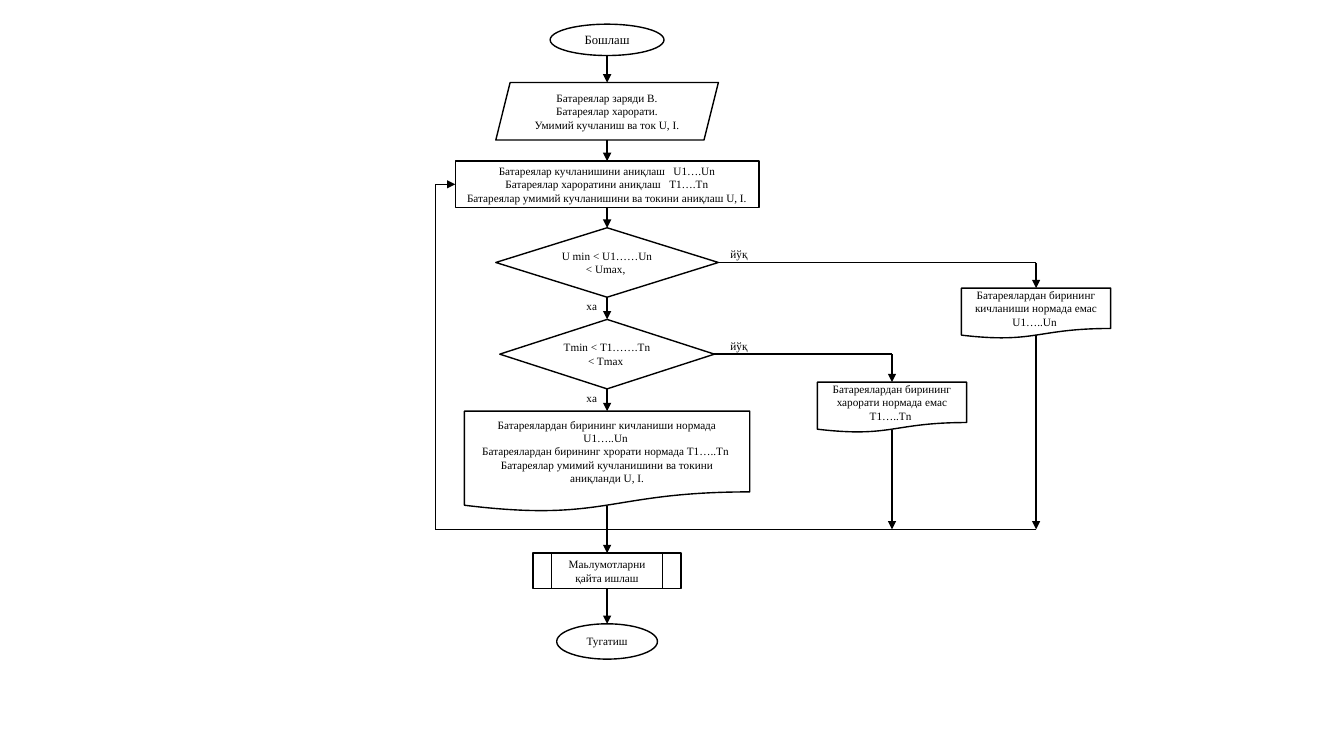
from lxml import etree
from pptx import Presentation
from pptx.dml.color import RGBColor
from pptx.enum.shapes import MSO_CONNECTOR, MSO_SHAPE as Shape
from pptx.enum.text import MSO_ANCHOR as Anchor, PP_ALIGN as Align
from pptx.oxml.ns import qn
from pptx.util import Cm, Pt

BLACK = RGBColor(0x00, 0x00, 0x00)
WHITE = RGBColor(0xFF, 0xFF, 0xFF)
FONT = "Times New Roman"
SPINE = 15.3            # centre of the main column, cm
VOLTAGE_X = 26.11       # centre of the voltage alarm column
HEAT_X = 22.48          # centre of the temperature alarm column
LOOP_X, LOOP_Y = 10.97, 13.34
WAVE = 0.94             # share of a document's height where its wave crosses the centre

deck = Presentation()
deck.slide_width, deck.slide_height = Cm(33.87), Cm(19.05)
page = deck.slides.add_slide(deck.slide_layouts[6])


def write_text(shape, lines, size=8, align=Align.CENTER, anchor=Anchor.MIDDLE, wrap=True):
    frame = shape.text_frame
    frame.word_wrap = wrap
    frame.vertical_anchor = anchor
    for index, line in enumerate(lines):
        para = frame.paragraphs[0] if index == 0 else frame.add_paragraph()
        para.alignment = align
        span = para.add_run()
        span.text = line
        span.font.name = FONT
        span.font.size = Pt(size)
        span.font.color.rgb = BLACK


def draw_line(x1, y1, x2, y2, arrow=True):
    line = page.shapes.add_connector(MSO_CONNECTOR.STRAIGHT, Cm(x1), Cm(y1), Cm(x2), Cm(y2))
    line.line.color.rgb = BLACK
    line.line.width = Pt(1)
    properties = line._element.spPr
    if arrow:
        etree.SubElement(properties.find(qn("a:ln")), qn("a:tailEnd"), type="triangle")
    etree.SubElement(properties, qn("a:effectLst"))


# Shape, centre x, top, width, height (cm), lines of text
steps = [
    (Shape.OVAL, SPINE, 0.61, 2.87, 0.79, ["Бошлаш"]),
    (Shape.PARALLELOGRAM, SPINE, 2.08, 5.61, 1.45,
     ["Батареялар заряди В.", "Батареялар харорати.", "Умимий кучланиш ва ток U, I."]),
    (Shape.RECTANGLE, SPINE, 4.06, 7.65, 1.17,
     ["Батареялар кучланишини аниқлаш   U1….Un",
      "Батареялар хароратини аниқлаш   Т1….Тn",
      "Батареялар умимий кучланишини ва токини аниқлаш U, I."]),
    (Shape.DIAMOND, SPINE, 5.74, 5.61, 1.75, ["U min < U1……Un < Umax, "]),
    (Shape.DIAMOND, SPINE, 8.05, 5.41, 1.75, ["Тmin < Т1…….Tn < Tmax "]),
    (Shape.FLOWCHART_DOCUMENT, SPINE, 10.36, 7.19, 2.54,
     ["Батареялардан бирининг кичланиши нормада U1…..Un ",
      "Батареялардан бирининг хрорати нормада Т1…..Тn ",
      "Батареялар умимий кучланишини ва токини аниқланди U, I."]),
    (Shape.FLOWCHART_PREDEFINED_PROCESS, SPINE, 13.94, 3.73, 0.89,
     ["Маьлумотларни қайта ишлаш"]),
    (Shape.OVAL, SPINE, 15.72, 2.54, 0.89, ["Тугатиш"]),
]
alarms = [
    (Shape.FLOWCHART_DOCUMENT, VOLTAGE_X, 7.26, 3.76, 1.27,
     ["Батареялардан бирининг кичланиши нормада емас U1…..Un "]),
    (Shape.FLOWCHART_DOCUMENT, HEAT_X, 9.63, 3.76, 1.27,
     ["Батареялардан бирининг харорати нормада емас Т1…..Тn "]),
]

for kind, centre, top, width, height, lines in steps + alarms:
    box = page.shapes.add_shape(kind, Cm(centre - width / 2), Cm(top), Cm(width), Cm(height))
    box.shadow.inherit = False
    box.line.color.rgb = BLACK
    box.line.width = Pt(1)
    if kind in (Shape.DIAMOND, Shape.FLOWCHART_DOCUMENT):
        box.fill.background()
    else:
        box.fill.solid()
        box.fill.fore_color.rgb = WHITE
    write_text(box, lines, size=9 if lines == ["Бошлаш"] else 8,
               wrap=kind != Shape.RECTANGLE)

# Arrows down the main column
for (kind, _, top, _, height, _), following in zip(steps, steps[1:]):
    reach = WAVE if kind == Shape.FLOWCHART_DOCUMENT else 1
    draw_line(SPINE, top + height * reach, SPINE, following[2])

# Each decision branches to its alarm, which drops to the return line
decisions = [step for step in steps if step[0] == Shape.DIAMOND]
for decision, alarm in zip(decisions, alarms):
    _, _, top, width, height, _ = decision
    _, alarm_x, alarm_top, _, alarm_height, _ = alarm
    middle = top + height / 2
    draw_line(SPINE + width / 2, middle, alarm_x, middle, arrow=False)
    draw_line(alarm_x, middle, alarm_x, alarm_top)
    draw_line(alarm_x, alarm_top + alarm_height * WAVE, alarm_x, LOOP_Y)
    for label, left, label_top, label_width in [
        ("йўқ", 18.16, middle - 0.51, 1.57),
        ("xa", 14.53, top + height - 0.07, 0.79),
    ]:
        note = page.shapes.add_textbox(Cm(left), Cm(label_top), Cm(label_width), Cm(0.61))
        write_text(note, [label], align=Align.LEFT, anchor=Anchor.TOP, wrap=label != "xa")

# Return line back to the measuring step
_, _, measure_top, measure_width, measure_height, _ = steps[2]
measure_middle = measure_top + measure_height / 2
draw_line(VOLTAGE_X, LOOP_Y, LOOP_X, LOOP_Y, arrow=False)
draw_line(LOOP_X, LOOP_Y, LOOP_X, measure_middle, arrow=False)
draw_line(LOOP_X, measure_middle, SPINE - measure_width / 2, measure_middle)

deck.save("out.pptx")
